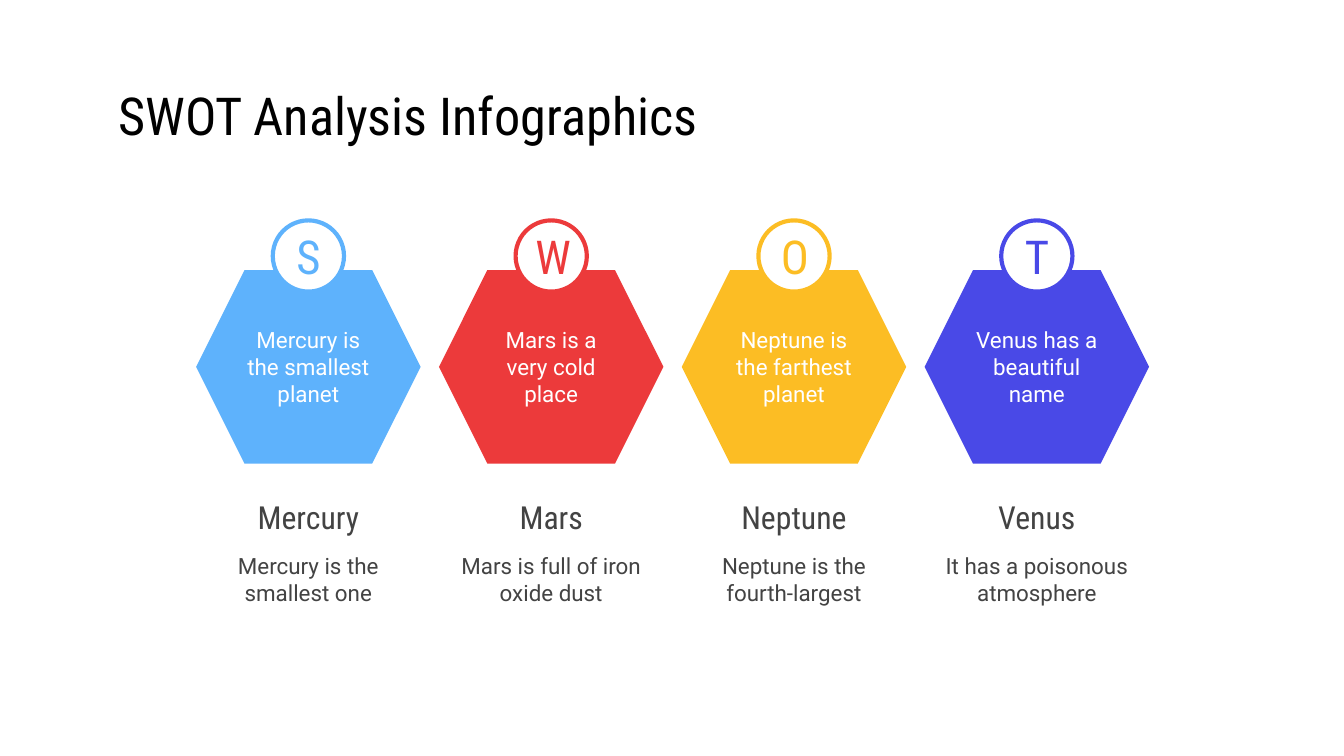
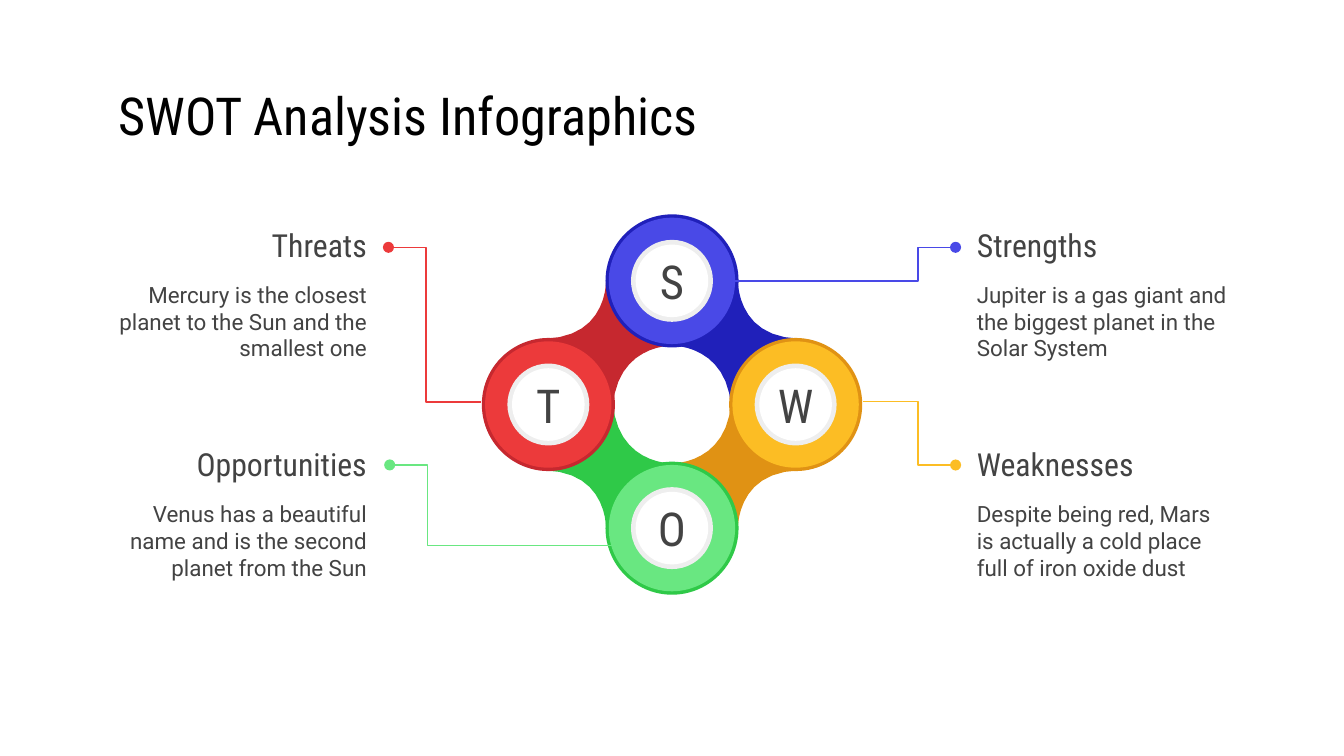
from dataclasses import dataclass
from typing import NamedTuple

from pptx import Presentation
from pptx.dml.color import RGBColor
from pptx.enum.shapes import MSO_SHAPE as Shape
from pptx.enum.text import MSO_ANCHOR as Anchor, MSO_AUTO_SIZE as AutoSize, PP_ALIGN as Align
from pptx.oxml.ns import qn
from pptx.util import Inches, Pt

BLACK = RGBColor(0x00, 0x00, 0x00)
WHITE = RGBColor(0xFF, 0xFF, 0xFF)
GREY = RGBColor(0x43, 0x43, 0x43)
PALE = RGBColor(0xEE, 0xEE, 0xEE)
SKY = RGBColor(0x5E, 0xB2, 0xFC)
RED = RGBColor(0xEC, 0x3A, 0x3B)
YELLOW = RGBColor(0xFC, 0xBD, 0x24)
BLUE = RGBColor(0x49, 0x49, 0xE7)
GREEN = RGBColor(0x69, 0xE7, 0x81)
DARK_RED = RGBColor(0xC6, 0x28, 0x2F)
DARK_YELLOW = RGBColor(0xE0, 0x92, 0x14)
DARK_BLUE = RGBColor(0x20, 0x20, 0xBA)
DARK_GREEN = RGBColor(0x2F, 0xC9, 0x48)

TITLE = "SWOT Analysis Infographics"

Point = tuple[float, float]


class Style(NamedTuple):
    name: str
    size: float


TITLE_STYLE = Style("Roboto Condensed", 28)
LETTER = Style("Roboto Condensed", 25)
HEADING = Style("Roboto Condensed", 17)
BODY = Style("Roboto", 12)


@dataclass
class Card:
    letter: str
    claim: str
    heading: str
    body: str
    color: RGBColor
    letter_align: Align = Align.CENTER
    letter_inset: float = 0.1


@dataclass
class Topic:
    letter: str
    heading: str
    body: str
    color: RGBColor
    dark: RGBColor
    center: Point
    text_at: Point
    align: Align
    leader: list[Point]


class Bridge(NamedTuple):
    color: RGBColor
    flip_x: int
    flip_y: int


CARDS = [
    Card("S", "Mercury is the smallest planet", "Mercury", "Mercury is the smallest one", SKY),
    Card("W", "Mars is a very cold place", "Mars", "Mars is full of iron oxide dust",
         RED, Align.RIGHT, 0.07),
    Card("O", "Neptune is the farthest planet", "Neptune", "Neptune is the fourth-largest",
         YELLOW, letter_inset=0.09),
    Card("T", "Venus has a beautiful name", "Venus", "It has a poisonous atmosphere", BLUE),
]
CARDS_LEFT, CARDS_RIGHT, CARD_W = 1.46, 8.55, 1.67
BADGE = 0.53

# Ring of four discs around a common centre
CX, CY, ORBIT = 5, 3.01, 0.92
LEFT_X, RIGHT_X, UPPER_Y, LOWER_Y = 0.77, 7.17, 1.59, 3.22
TOPICS = [
    Topic("S", "Strengths", "Jupiter is a gas giant and the biggest planet in the Solar System",
          BLUE, DARK_BLUE, (CX, CY - ORBIT), (RIGHT_X, UPPER_Y), Align.LEFT,
          [(7.11, 1.84), (6.83, 1.84), (6.83, 2.09), (5.43, 2.09)]),
    Topic("W", "Weaknesses",
          "Despite being red, Mars is actually a cold place full of iron oxide dust",
          YELLOW, DARK_YELLOW, (CX + ORBIT, CY), (RIGHT_X, LOWER_Y), Align.LEFT,
          [(7.11, 3.46), (6.83, 3.46), (6.83, 2.99), (6.42, 2.99)]),
    Topic("O", "Opportunities", "Venus has a beautiful name and is the second planet from the Sun",
          GREEN, DARK_GREEN, (CX, CY + ORBIT), (LEFT_X, LOWER_Y), Align.RIGHT,
          [(2.9, 3.46), (3.18, 3.46), (3.18, 4.06), (4.57, 4.06)]),
    Topic("T", "Threats", "Mercury is the closest planet to the Sun and the smallest one",
          RED, DARK_RED, (CX - ORBIT, CY), (LEFT_X, UPPER_Y), Align.RIGHT,
          [(2.89, 1.84), (3.17, 1.84), (3.17, 2.99), (3.58, 2.99)]),
]
BRIDGES = [
    Bridge(DARK_RED, 1, 1),
    Bridge(DARK_BLUE, -1, 1),
    Bridge(DARK_YELLOW, -1, -1),
    Bridge(DARK_GREEN, 1, -1),
]
# Upper left bridge, relative to the ring centre: one cubic curve per row
BRIDGE_START = (-0.49, -0.95)
BRIDGE_CURVES = [
    ((-0.49, -0.95), (-0.46, -0.5), (-0.95, -0.49)),
    ((-1, -0.31), (-0.94, -0.06), (-0.92, -0.01)),
    ((-0.89, 0), (-0.74, 0.04), (-0.6, 0.04)),
    ((-0.55, 0.04), (-0.49, 0.04), (-0.44, 0.02)),
    ((-0.41, -0.43), (-0.03, -0.44), (0.02, -0.44)),
]
BRIDGE_END = (-0.01, -0.92)
CURVE_STEPS = 12


def write(s, text: str, style: Style, color: RGBColor, align: Align = Align.CENTER,
          anchor: Anchor = Anchor.MIDDLE, left_inset: float = 0.1,
          right_inset: float = 0.1) -> None:
    tf = s.text_frame
    frame = {"word_wrap": True, "auto_size": AutoSize.NONE, "vertical_anchor": anchor,
             "margin_left": Inches(left_inset), "margin_right": Inches(right_inset),
             "margin_top": Inches(0.1), "margin_bottom": Inches(0.1)}
    for name, value in frame.items():
        setattr(tf, name, value)
    p = tf.paragraphs[0]
    p.alignment = align
    r = p.add_run()
    r.text = text
    for name, value in {"name": style.name, "size": Pt(style.size), "bold": False}.items():
        setattr(r.font, name, value)
    r.font.color.rgb = color


def paint(s, fill: RGBColor | None, line: RGBColor | None = None, width: float = 0.75) -> None:
    s.shadow.inherit = False
    if fill is None:
        s.fill.background()
    else:
        s.fill.solid()
        s.fill.fore_color.rgb = fill
    if line is None:
        s.line.fill.background()
    else:
        s.line.color.rgb = line
        s.line.width = Pt(width)


def add_box(slide, x: float, y: float, w: float, h: float, text: str, style: Style,
            align: Align = Align.CENTER, anchor: Anchor = Anchor.MIDDLE) -> None:
    s = slide.shapes.add_textbox(Inches(x), Inches(y), Inches(w), Inches(h))
    write(s, text, style, GREY, align, anchor)


def add_disc(slide, center: Point, size: float, fill: RGBColor, line: RGBColor | None = None,
             width: float = 0.75):
    x, y = center
    s = slide.shapes.add_shape(Shape.OVAL, Inches(x - size / 2), Inches(y - size / 2),
                               Inches(size), Inches(size))
    paint(s, fill, line, width)
    return s


def add_path(slide, points: list[Point], close: bool):
    start, *rest = [(Inches(x), Inches(y)) for x, y in points]
    builder = slide.shapes.build_freeform(*start)
    builder.add_line_segments(rest, close=close)
    return builder.convert_to_shape()


def cubic(a: Point, b: Point, c: Point, d: Point) -> list[Point]:
    """Points along a Bezier curve, without its start."""
    points = []
    for i in range(1, CURVE_STEPS + 1):
        t = i / CURVE_STEPS
        u = 1 - t
        x, y = (u**3 * a[k] + 3 * u * u * t * b[k] + 3 * u * t * t * c[k] + t**3 * d[k]
                for k in (0, 1))
        points.append((x, y))
    return points


def add_bridge(slide, bridge: Bridge) -> None:
    outline = [BRIDGE_START]
    for curve in BRIDGE_CURVES:
        outline += cubic(outline[-1], *curve)
    outline.append(BRIDGE_END)
    points = [(CX + bridge.flip_x * x, CY + bridge.flip_y * y) for x, y in outline]
    paint(add_path(slide, points, close=True), bridge.color)


def add_leader(slide, points: list[Point], color: RGBColor) -> None:
    s = add_path(slide, points, close=False)
    paint(s, None, color)
    ln = s.line._get_or_add_ln()
    head = ln.makeelement(qn("a:headEnd"), {"type": "oval", "w": "med", "len": "med"})
    ln.append(head)


def add_card(slide, card: Card, x: float) -> None:
    s = slide.shapes.add_shape(Shape.HEXAGON, Inches(x), Inches(2.01), Inches(CARD_W), Inches(1.44))
    paint(s, card.color)
    write(s, card.claim, BODY, WHITE)
    badge = add_disc(slide, (x + CARD_W / 2, 1.64 + BADGE / 2), BADGE, WHITE, card.color, 2.25)
    write(badge, card.letter, LETTER, card.color, card.letter_align, left_inset=card.letter_inset)
    add_box(slide, x, 3.61, CARD_W, 0.47, card.heading, HEADING)
    add_box(slide, x, 4.01, CARD_W, 0.71, card.body, BODY, anchor=Anchor.TOP)


def add_topic(slide, topic: Topic) -> None:
    for size, fill in ((0.99, topic.dark), (0.94, topic.color), (0.61, PALE), (0.54, WHITE)):
        s = add_disc(slide, topic.center, size, fill)
    write(s, topic.letter, LETTER, GREY, left_inset=0.04, right_inset=0.04)
    x, y = topic.text_at
    add_box(slide, x, y, 2.06, 0.47, topic.heading, HEADING, topic.align)
    add_box(slide, x, y + 0.38, 2.06, 0.84, topic.body, BODY, topic.align)
    add_leader(slide, topic.leader, topic.color)


def add_titled_slide(prs):
    slide = prs.slides.add_slide(prs.slide_layouts[5])
    s = slide.shapes.title
    for name, value in {"left": 0.78, "top": 0.59, "width": 8.45, "height": 0.53}.items():
        setattr(s, name, Inches(value))
    write(s, TITLE, TITLE_STYLE, BLACK, Align.LEFT)
    return slide


def main() -> None:
    prs = Presentation()
    prs.slide_width = Inches(10)
    prs.slide_height = prs.slide_width * 9 // 16

    slide = add_titled_slide(prs)
    step = (CARDS_RIGHT - CARDS_LEFT - CARD_W) / (len(CARDS) - 1)
    for i, card in enumerate(CARDS):
        add_card(slide, card, CARDS_LEFT + i * step)

    slide = add_titled_slide(prs)
    for bridge in BRIDGES:
        add_bridge(slide, bridge)
    for topic in TOPICS:
        add_topic(slide, topic)

    prs.save("out.pptx")


if __name__ == "__main__":
    main()
